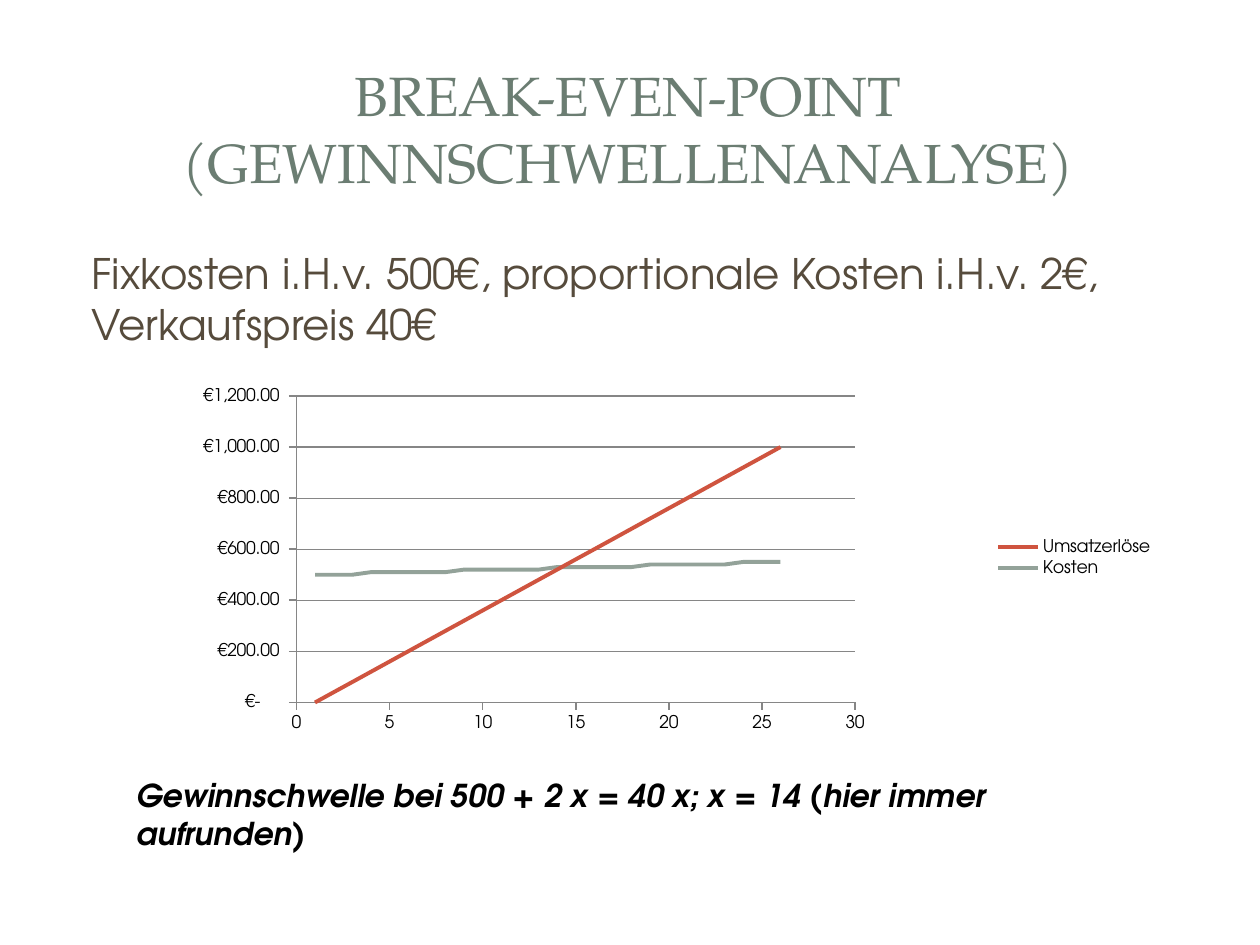
import pptx
import pptx.util
import pptx.chart.data
import pptx.dml.color
import pptx.enum.chart
import pptx.enum.shapes
import pptx.enum.text
import pptx.oxml
import pptx.oxml.ns

Cm, Pt = pptx.util.Cm, pptx.util.Pt
RGB = pptx.dml.color.RGBColor.from_string
qn, nsdecls = pptx.oxml.ns.qn, pptx.oxml.ns.nsdecls
SHAPE = pptx.enum.shapes.MSO_SHAPE
ALIGN, ANCHOR = pptx.enum.text.PP_ALIGN, pptx.enum.text.MSO_ANCHOR
AUTO = pptx.enum.text.MSO_AUTO_SIZE

TITLE = "BREAK-EVEN-POINT (GEWINNSCHWELLENANALYSE)"
BODY = "Fixkosten i.H.v. 500€, proportionale Kosten i.H.v. 2€, Verkaufspreis 40€"
RESULT = "Gewinnschwelle bei 500 + 2 x = 40 x; x = 14 (hier immer aufrunden)"

FIXED_COST, UNIT_COST, PRICE = 500, 2, 40
UNITS = range(26)
SERIES = {
    "Kosten": [round(FIXED_COST + UNIT_COST * n, -1) for n in UNITS],
    "Umsatzerlöse": [PRICE * n for n in UNITS],
}
EURO = '"€"#,##0.00_-;-"€"#,##0.00_-;"€-"??_-'

SANS, SERIF = "TeX Gyre Adventor", "TeX Gyre Pagella"
THEME = {
    "title": {"name": SERIF, "size": Pt(31.5), "color": "6B7D72", "bold": False},
    "body": {"name": SANS, "size": Pt(24), "color": "564B3C"},
    "result": {"name": SANS, "size": Pt(18), "color": "000000", "bold": True, "italic": True},
    "chart": {"name": SANS, "size": Pt(10), "color": "000000"},
    "lines": {"Kosten": "93A299", "Umsatzerlöse": "CF543F"},
    "axis": "868686",
    "panel": "FFFFFF",
}

# left, top, width, height in cm
BOXES = {
    "title": (1.19, 1.13, 22.94, 2.9),
    "body": (1.27, 4.87, 22.86, 12.14),
    "chart": (2.1, 7.53, 21.41, 7.42),
    "result": (2.5, 15.52, 21.01, 1.02),
}
# preset, box in cm, opacity in percent
PANELS = [
    (SHAPE.ROUNDED_RECTANGLE, (0.25, 0.28, 24.89, 18.52), 100),
    (SHAPE.RECTANGLE, (0.76, 0.76, 23.88, 3.68), 83),
    (SHAPE.RECTANGLE, (1.04, 1.04, 23.29, 3.1), 100),
]
PLOT_PERCENT = {"x": 18.1, "y": 6.1, "w": 52.6, "h": 83.3}  # of the chart


def lengths(values):
    return [Cm(v) for v in values]


def set_font(font, style):
    for key, value in style.items():
        if key == "color":
            font.color.rgb = RGB(value)
        else:
            setattr(font, key, value)


def write(sp, name, text, **paragraph_format):
    """Place the shape in its box and fill it with one styled paragraph."""
    sp.left, sp.top, sp.width, sp.height = lengths(BOXES[name])
    tf = sp.text_frame
    tf.word_wrap, tf.auto_size = True, AUTO.NONE
    p = tf.paragraphs[0]
    for key, value in paragraph_format.items():
        setattr(p, key, value)
    r = p.add_run()
    r.text = text
    set_font(r.font, THEME[name])
    return p


def add_panels(s):
    """Add the title and slide panels behind the placeholders."""
    for preset, place, opacity in PANELS:
        sp = s.shapes.add_shape(preset, *lengths(place))
        sp.shadow.inherit = False
        sp.fill.solid()
        sp.fill.fore_color.rgb = RGB(THEME["panel"])
        sp.line.fill.background()
        if preset == SHAPE.ROUNDED_RECTANGLE:
            sp.adjustments[0] = 0.02
        if opacity < 100:
            color = sp.element.spPr.find(".//" + qn("a:srgbClr"))
            color.append(pptx.oxml.parse_xml(
                f'<a:alpha {nsdecls("a")} val="{opacity * 1000}"/>'))
        s.shapes.title.element.addprevious(sp.element)


def set_line(line, color, width):
    line.color.rgb, line.width = RGB(color), Pt(width)


def set_plot_area(chart):
    plot_area = chart.element.find(".//" + qn("c:plotArea"))
    for old in plot_area.findall(qn("c:layout")):
        plot_area.remove(old)
    tags = [("layoutTarget", "inner"), ("xMode", "edge"), ("yMode", "edge")]
    tags += [(tag, percent / 100) for tag, percent in PLOT_PERCENT.items()]
    inner = "".join(f'<c:{tag} val="{value}"/>' for tag, value in tags)
    plot_area.insert(0, pptx.oxml.parse_xml(
        f'<c:layout {nsdecls("c")}><c:manualLayout>{inner}</c:manualLayout></c:layout>'))


def add_break_even_chart(s):
    data = pptx.chart.data.XyChartData()
    for name, values in SERIES.items():
        series = data.add_series(name)
        for n, value in zip(UNITS, values):
            series.add_data_point(n + 1, value)
    kind = pptx.enum.chart.XL_CHART_TYPE.XY_SCATTER_SMOOTH_NO_MARKERS
    chart = s.shapes.add_chart(kind, *lengths(BOXES["chart"]), data).chart
    set_font(chart.font, THEME["chart"])
    chart.has_title = False
    chart.has_legend = True
    chart.legend.position = pptx.enum.chart.XL_LEGEND_POSITION.RIGHT
    chart.legend.include_in_layout = False
    chart.plots[0].vary_by_categories = False

    for series in chart.plots[0].series:
        set_line(series.format.line, THEME["lines"][series.name], 2.25)
        series.smooth = True
    # The legend lists revenue above cost
    cost, revenue = chart.element.findall(".//" + qn("c:ser"))
    cost.addprevious(revenue)

    axes = ((chart.category_axis, 30, 5, "General", False),
            (chart.value_axis, 1200, 200, EURO, True))
    for axis, top, step, number_format, grid in axes:
        axis.minimum_scale, axis.maximum_scale, axis.major_unit = 0, top, step
        axis.has_major_gridlines = grid
        axis.major_tick_mark = pptx.enum.chart.XL_TICK_MARK.OUTSIDE
        axis.tick_labels.number_format = number_format
        axis.tick_labels.number_format_is_linked = False
        set_line(axis.format.line, THEME["axis"], 1)
    set_line(chart.value_axis.major_gridlines.format.line, THEME["axis"], 0.7)
    set_plot_area(chart)


def main():
    prs = pptx.Presentation()
    prs.slide_width, prs.slide_height = Cm(25.4), Cm(19.05)
    s = prs.slides.add_slide(prs.slide_layouts[1])
    title, body = s.shapes.title, s.placeholders[1]
    add_panels(s)

    write(title, "title", TITLE, alignment=ALIGN.CENTER)
    title.text_frame.vertical_anchor = ANCHOR.MIDDLE

    p = write(body, "body", BODY, alignment=ALIGN.LEFT, space_before=Pt(4.8))
    pPr = p._p.get_or_add_pPr()
    pPr.set("marL", str(Cm(0.32)))
    pPr.set("indent", "0")
    pPr.append(pptx.oxml.parse_xml(f'<a:buNone {nsdecls("a")}/>'))

    add_break_even_chart(s)

    result = s.shapes.add_textbox(*lengths(BOXES["result"]))
    write(result, "result", RESULT)
    result.text_frame.auto_size = AUTO.SHAPE_TO_FIT_TEXT
    prs.save("out.pptx")


if __name__ == "__main__":
    main()
